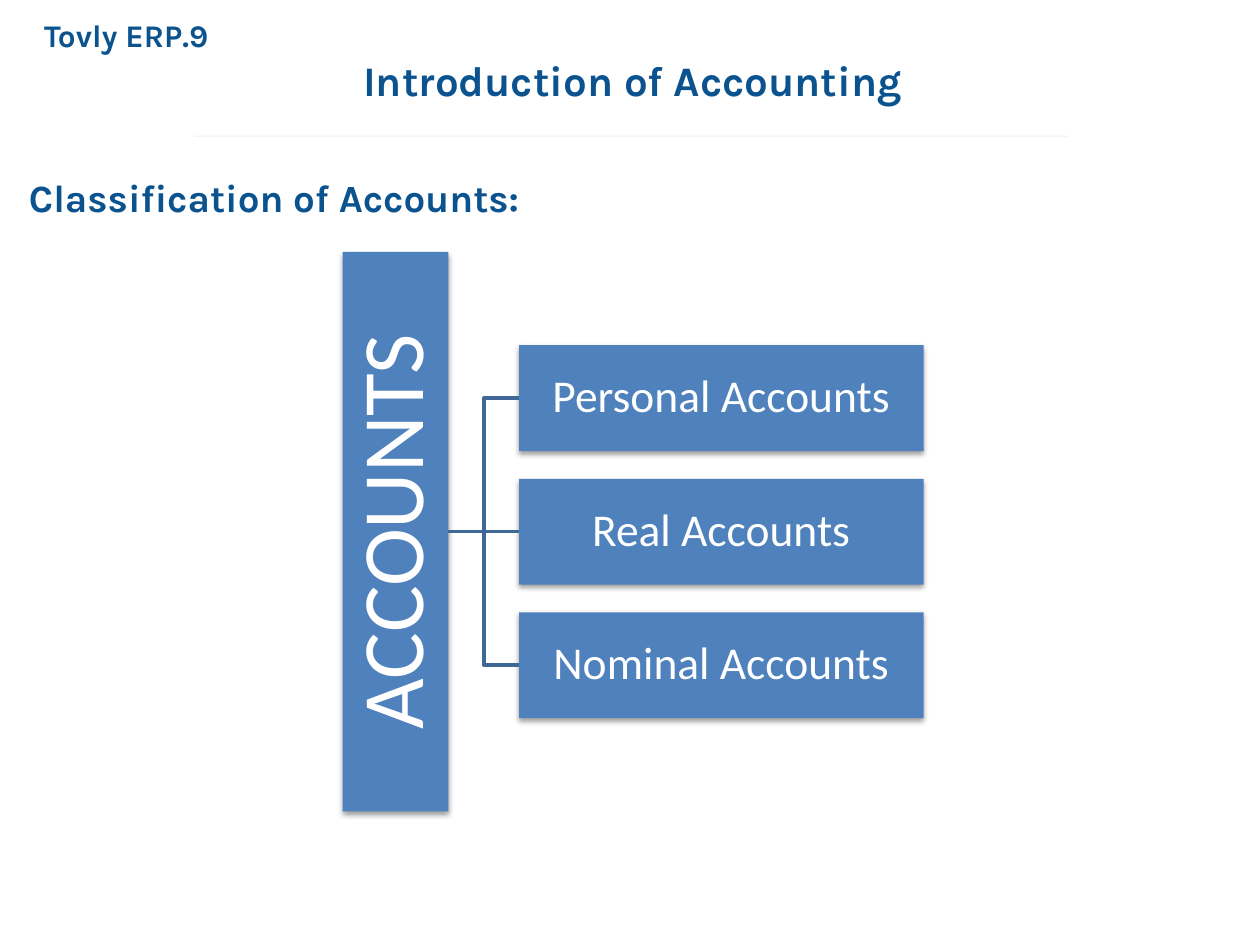
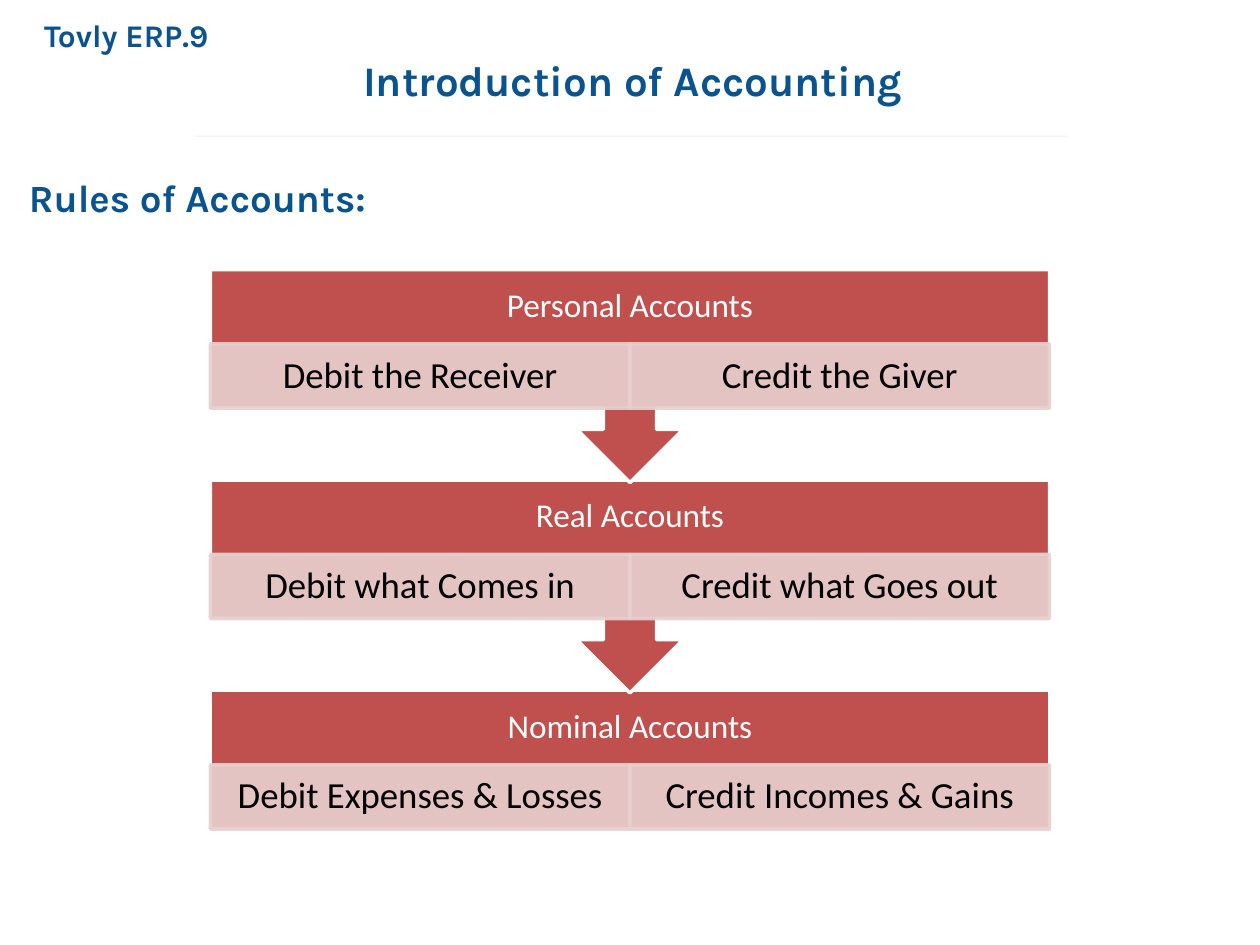
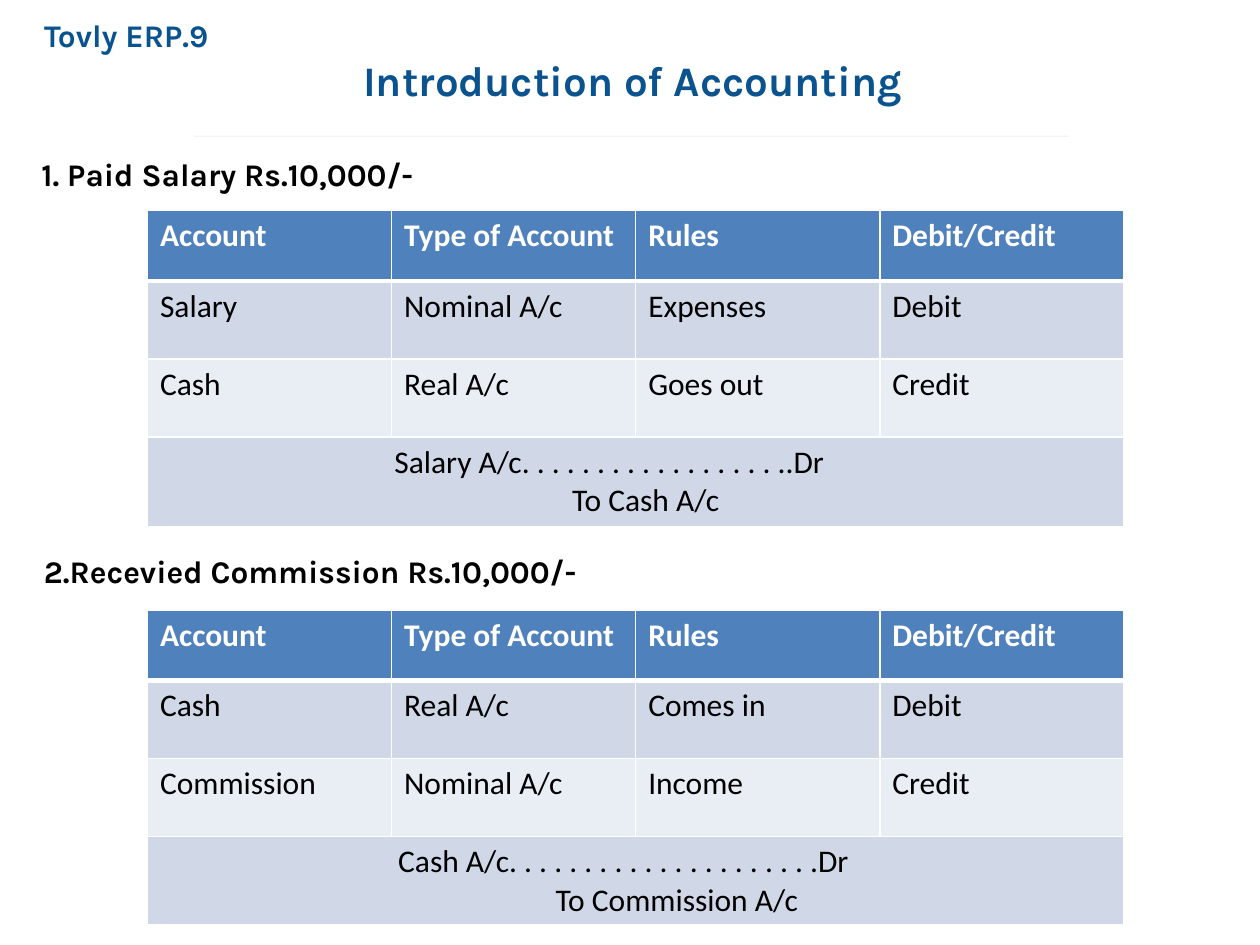
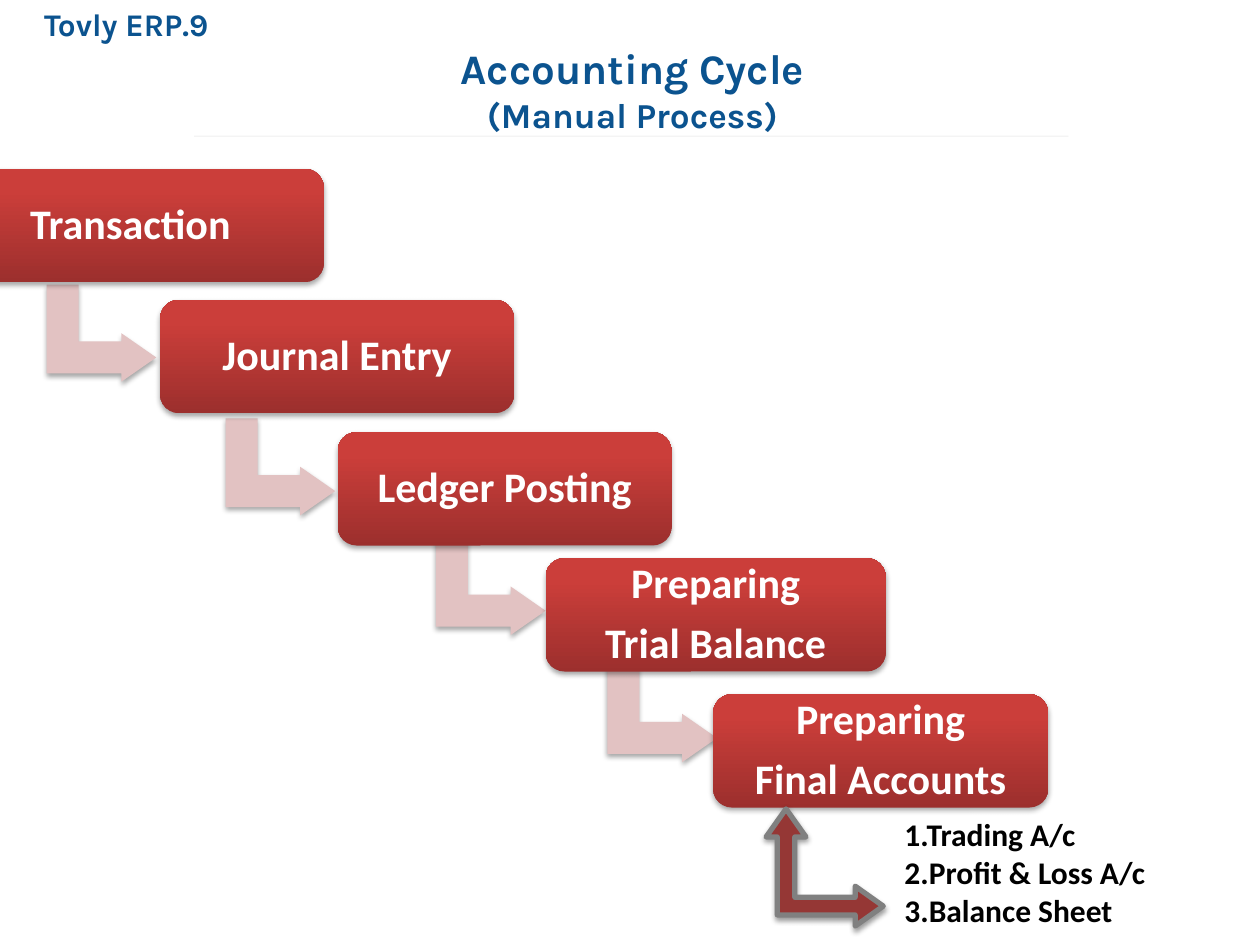
from dataclasses import dataclass, replace
from typing import NamedTuple, Optional

from lxml.etree import SubElement
from pptx import Presentation
from pptx.dml.color import RGBColor
from pptx.enum.shapes import MSO_CONNECTOR as Link, MSO_SHAPE as Form
from pptx.enum.text import MSO_ANCHOR as Anchor, PP_ALIGN as Align
from pptx.oxml.ns import qn
from pptx.util import Emu, Inches, Pt

COLS, ROWS = 100, 75
WIDE, HIGH = Inches(10), Inches(7.5)

NAVY, BLUE, STEEL = "0B538F", "4F81BD", "3F6797"
RED, ROSE, BLUSH = "C0504D", "E8D0D0", "E2C2C2"
BLACK, WHITE = "000000", "FFFFFF"
BRAND, TOPIC = "Tovly ERP.9", "Introduction of Accounting"
KINDS = ["Personal Accounts", "Real Accounts", "Nominal Accounts"]


class Box(NamedTuple):
    col: float
    row: float
    cols: float
    rows: float


class Pad(NamedTuple):
    left: float = 0
    top: float = 0
    right: float = 0
    foot: float = 0


@dataclass(frozen=True)
class Style:
    size: float
    hue: str = WHITE
    font: str = "Calibri"
    bold: bool = False
    align: Align = Align.CENTER
    lead: Optional[float] = None
    gap: float = 0
    dent: float = 0


class Line(NamedTuple):
    text: str
    style: Style


class Rule(NamedTuple):
    head: str
    debit: str
    credit: str


class Step(NamedTuple):
    lines: list[str]
    box: Box
    turn: Optional[tuple[float, float]] = None


class Entry(NamedTuple):
    title: str
    spot: tuple[float, float]
    row: float
    cells: list[list[str]]
    post: list[tuple[str, float]]


HEAD = Style(24, NAVY, "Karla", True)
MARK = replace(HEAD, size=18, align=Align.LEFT)
SUB = replace(MARK, size=22)
NOTE = replace(MARK, hue=BLACK)
LABEL = Style(26, lead=0.9)
CELL = Style(18, BLACK, align=Align.LEFT)
TOP = replace(CELL, hue=WHITE, bold=True)
INSET = Pad(1, 0.5, 1, 0.5)


def tint(code: str) -> RGBColor:
    return RGBColor.from_string(code)


def across(cols: float) -> Emu:
    return Emu(round(WIDE * cols / COLS))


def down(rows: float) -> Emu:
    return Emu(round(HIGH * rows / ROWS))


def place(box: Box) -> tuple[Emu, Emu, Emu, Emu]:
    return across(box.col), down(box.row), across(box.cols), down(box.rows)


def write(frame, lines: list[Line], pad: Pad = Pad(), anchor=Anchor.TOP) -> None:
    frame.word_wrap = True
    frame.vertical_anchor = anchor
    frame.margin_left, frame.margin_right = across(pad.left), across(pad.right)
    frame.margin_top, frame.margin_bottom = down(pad.top), down(pad.foot)
    for index, (text, style) in enumerate(lines):
        para = frame.add_paragraph() if index else frame.paragraphs[0]
        para.alignment = style.align
        if style.lead:
            para.line_spacing = style.lead
        if index and style.gap:
            para.space_before = Pt(style.gap)
        if style.dent:
            para._p.get_or_add_pPr().set("marL", str(across(style.dent)))
        run = para.add_run()
        run.text = text
        run.font.name, run.font.size = style.font, Pt(style.size)
        run.font.bold = style.bold
        run.font.color.rgb = tint(style.hue)


def fade(shape, share: int) -> None:
    for color in shape._element.spPr.iter(qn("a:srgbClr")):
        SubElement(color, qn("a:alpha")).set("val", str(share * 1000))


def shade(shape, share: int = 38) -> None:
    holder = shape._element.spPr.find(qn("a:effectLst"))
    cast = SubElement(holder, qn("a:outerShdw"), blurRad=str(Pt(3.1)),
                      dist=str(Pt(1.7)), dir="5400000", rotWithShape="0")
    color = SubElement(cast, qn("a:srgbClr"), val=BLACK)
    SubElement(color, qn("a:alpha"), val=str(share * 1000))


def draw(slide, form: Form, box: Box, fill: str, edge: str = "", width: float = 2):
    shape = slide.shapes.add_shape(form, *place(box))
    shape.shadow.inherit = False
    shape.fill.solid()
    shape.fill.fore_color.rgb = tint(fill)
    if edge:
        shape.line.color.rgb = tint(edge)
        shape.line.width = Pt(width)
    else:
        shape.line.fill.background()
    return shape


def join(slide, kind: Link, hue: str, width: float, ends=(0, 0, 0, 0)):
    col, row, last, base = ends
    wire = slide.shapes.add_connector(kind, across(col), down(row), across(last), down(base))
    wire.line.color.rgb = tint(hue)
    wire.line.width = Pt(width)
    SubElement(wire._element.spPr, qn("a:effectLst"))
    return wire


def note(slide, box: Box, lines: list[Line], pad: Pad = Pad()) -> None:
    write(slide.shapes.add_textbox(*place(box)).text_frame, lines, pad)


def start(deck, heads: list[Line], row: float = 1.3, rows: float = 7.1):
    slide = deck.slides.add_slide(deck.slide_layouts[5])
    title = slide.shapes.title
    title.left, title.top, title.width, title.height = place(Box(3.5, row, 93.4, rows))
    write(title.text_frame, [Line(BRAND, MARK), *heads])
    fade(join(slide, Link.STRAIGHT, "BFBFBF", 0.25, (84.8, 10.8, 15.4, 10.8)), 48)
    return slide


def sort_slide(deck) -> None:
    slide = start(deck, [Line(TOPIC, HEAD)])
    note(slide, Box(2.3, 13.8, 49.2, 3.7), [Line("Classification of Accounts:", SUB)])
    bar = draw(slide, Form.RECTANGLE, Box(27.2, 20, 8.4, 44.4), BLUE)
    shade(bar)
    write(bar.text_frame, [Line("ACCOUNTS", replace(LABEL, size=50))],
          Pad(0.3, 0.3, 0.3, 0.3), Anchor.MIDDLE)
    bar.text_frame._txBody.bodyPr.set("vert", "vert270")
    for index, kind in enumerate(KINDS):
        leaf = draw(slide, Form.RECTANGLE, Box(41.2, 27.4 + 10.6 * index, 32.1, 8.4), BLUE)
        shade(leaf)
        write(leaf.text_frame, [Line(kind, LABEL)], Pad(0.2, 0.2, 0.2, 0.2), Anchor.MIDDLE)
        wire = join(slide, Link.STRAIGHT if index == 1 else Link.ELBOW, STEEL, 2)
        wire.begin_connect(bar, 3)
        wire.end_connect(leaf, 1)


def rule_slide(deck) -> None:
    slide = start(deck, [Line(TOPIC, HEAD)])
    note(slide, Box(2.3, 13.8, 49.2, 3.7), [Line("Rules of Accounts:", SUB)])
    sides = [("Debit the Receiver", "Credit the Giver"),
             ("Debit what Comes in", "Credit what Goes out"),
             ("Debit Expenses & Losses", "Credit Incomes & Gains")]
    rules = [Rule(kind, *pair) for kind, pair in zip(KINDS, sides)]
    left, half, band, low = 16.7, 33.3, 5.9, 5.1
    for index, rule in reversed(list(enumerate(rules))):
        row = 21.4 + 16.7 * index
        final = index == len(rules) - 1
        form = Form.RECTANGLE if final else Form.DOWN_ARROW_CALLOUT
        tall = band + low if final else 16.9
        block = draw(slide, form, Box(left, row, 2 * half, tall), RED, WHITE)
        write(block.text_frame, [Line(rule.head, replace(LABEL, size=19))],
              Pad(1.5, 0, 1.5, low), Anchor.MIDDLE)
        for side, text in enumerate((rule.debit, rule.credit)):
            part = draw(slide, Form.RECTANGLE,
                        Box(left + half * side, row + band, half, low), ROSE, ROSE)
            fade(part, 90)
            write(part.text_frame, [Line(text, replace(LABEL, size=21, hue=BLACK))],
                  Pad(1.6, 0.3, 1.6, 0.3), Anchor.MIDDLE)


def paint(cell, fill: str, top: float, foot: float) -> None:
    props = cell._tc.get_or_add_tcPr()
    for side, width in zip("LRTB", (1, 1, top, foot)):
        edge = SubElement(props, qn(f"a:ln{side}"), w=str(Pt(width)))
        SubElement(SubElement(edge, qn("a:solidFill")), qn("a:srgbClr"), val=WHITE)
    cell.fill.solid()
    cell.fill.fore_color.rgb = tint(fill)


def ledger(slide, entry: Entry) -> None:
    heads = ["Account", "Type of Account", "Rules", "Debit/Credit"]
    grid = [heads, *entry.cells]
    fills = [BLUE, "D0D8E8", "E9EDF4", "D0D8E8"]
    table = slide.shapes.add_table(len(fills), len(heads),
                                   *place(Box(11.7, entry.row, 77.5, 24.2))).table
    for column in table.columns:
        column.width = across(77.5 / len(heads))
    for index, fill in enumerate(fills):
        table.rows[index].height = down(6.2 if index else 5.6)
        for cell in table.rows[index].cells:
            paint(cell, fill, 3 if index == 1 else 1, 1 if index else 3)
    for index, texts in enumerate(grid):
        for cell, text in zip(table.rows[index].cells, texts):
            write(cell.text_frame, [Line(text, CELL if index else TOP)], INSET)
    base = table.cell(len(grid), 0)
    base.merge(table.cell(len(grid), len(heads) - 1))
    write(base.text_frame,
          [Line(text, replace(CELL, dent=dent)) for text, dent in entry.post], INSET)


def entry_slide(deck) -> None:
    slide = start(deck, [Line(TOPIC, HEAD)])
    entries = [
        Entry("1. Paid Salary Rs.10,000/-", (2.3, 11.8), 16.7,
              [["Salary", "Nominal A/c", "Expenses", "Debit"],
               ["Cash", "Real A/c", "Goes out", "Credit"]],
              [("Salary A/c. . . . . . . . . . . . . . . . . ..Dr", 18.6),
               ("To Cash A/c", 32.7)]),
        Entry("2.Recevied Commission Rs.10,000/-", (2.5, 43.3), 48.4,
              [["Cash", "Real A/c", "Comes in", "Debit"],
               ["Commission", "Nominal A/c", "Income", "Credit"]],
              [("Cash A/c. . . . . . . . . . . . . . . . . . . . .Dr", 18.9),
               ("To Commission A/c", 31.4)]),
    ]
    for entry in entries:
        ledger(slide, entry)
        note(slide, Box(*entry.spot, 97, 4), [Line(entry.title, NOTE)], INSET)


def cycle_slide(deck) -> None:
    slide = start(deck, [Line("Accounting Cycle", HEAD),
                         Line("(Manual Process)", replace(HEAD, size=20))], 0.4, 10.4)
    steps = [
        Step(["Transaction"], Box(-5, 13.4, 30.7, 9), (4.2, 22.1)),
        Step(["Journal Entry"], Box(12.7, 23.8, 28.1, 9), (18.4, 32.7)),
        Step(["Ledger Posting"], Box(26.8, 34.3, 26.5, 9), (35.1, 42.2)),
        Step(["Preparing", "Trial Balance"], Box(43.3, 44.3, 27, 9), (48.7, 52.3)),
        Step(["Preparing", "Final Accounts"], Box(56.6, 55.1, 26.6, 9)),
    ]
    strong = replace(LABEL, size=24, bold=True, gap=8)
    for step in steps:
        if step.turn:
            turn = draw(slide, Form.BENT_UP_ARROW, Box(*step.turn, 7.7, 8.7), BLUSH)
            bend(turn, (0.33, 0.25, 0.36))
            shade(turn, 35)
        card = draw(slide, Form.ROUNDED_RECTANGLE, step.box, RED)
        card.fill.gradient()
        card.fill.gradient_angle = 90
        for stop, hue, spot in zip(card.fill.gradient_stops, ("9C2F2D", "CB3E3A"), (0, 0.8)):
            stop.color.rgb = tint(hue)
            stop.position = spot
        shade(card, 35)
        write(card.text_frame, [Line(text, strong) for text in step.lines],
              Pad(1.4, 1.4, 1.4, 1.4), Anchor.MIDDLE)
    parts = ["1.Trading A/c", "2.Profit & Loss A/c", "3.Balance Sheet"]
    note(slide, Box(70.8, 64.2, 24.9, 10.1),
         [Line(part, replace(CELL, bold=True)) for part in parts], INSET)
    fork = draw(slide, Form.LEFT_UP_ARROW, Box(60.8, 64.2, 9.3, 9.3), "953735", "808080", 3)
    bend(fork, (0.15, 0.17, 0.24))
    shade(fork)


def bend(shape, shares: tuple[float, ...]) -> None:
    shape.rotation = 90
    for index, share in enumerate(shares):
        shape.adjustments[index] = share


def main() -> None:
    deck = Presentation()
    deck.slide_width, deck.slide_height = WIDE, HIGH
    for build in (sort_slide, rule_slide, entry_slide, cycle_slide):
        build(deck)
    deck.save("out.pptx")


if __name__ == "__main__":
    main()
